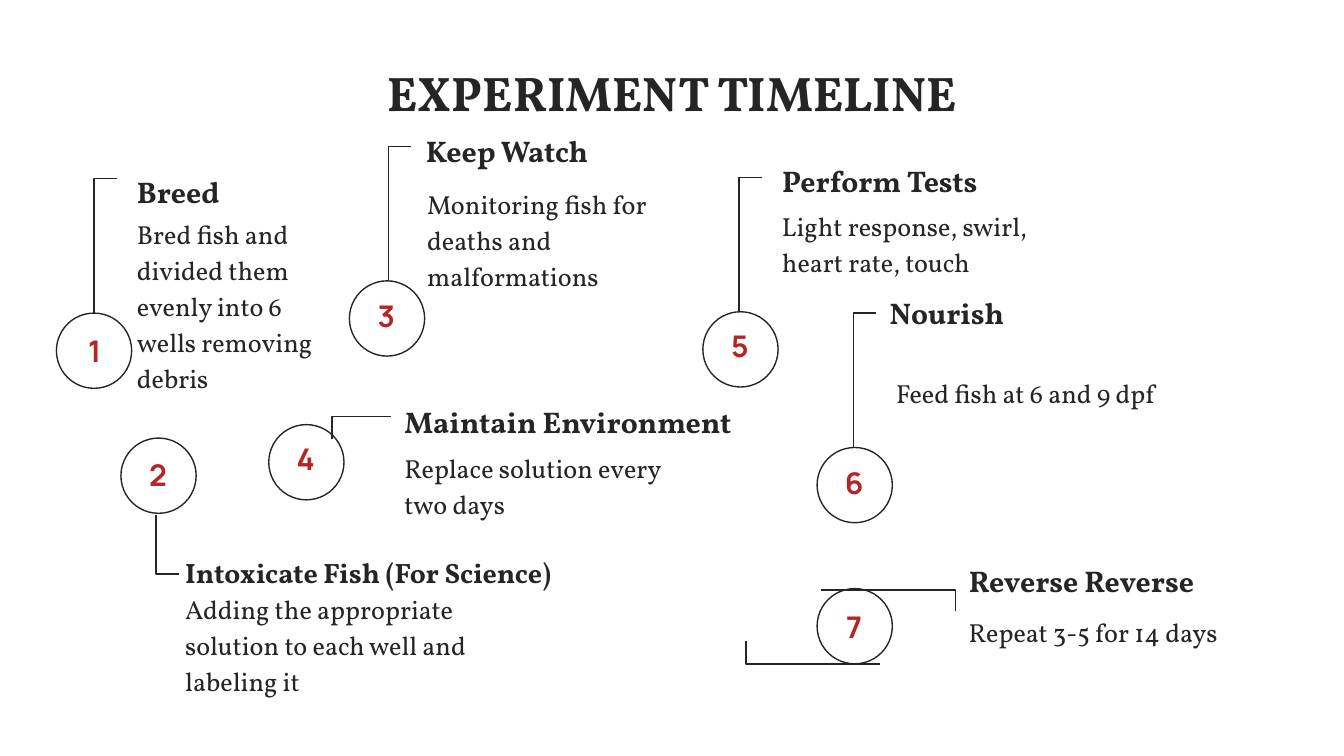
from dataclasses import dataclass

from pptx import Presentation
from pptx.dml.color import RGBColor
from pptx.enum.shapes import MSO_SHAPE
from pptx.enum.text import MSO_ANCHOR, PP_ALIGN
from pptx.util import Inches, Pt

OVAL = MSO_SHAPE.OVAL
TOP, MIDDLE, BOTTOM = MSO_ANCHOR.TOP, MSO_ANCHOR.MIDDLE, MSO_ANCHOR.BOTTOM
LEFT, CENTER = PP_ALIGN.LEFT, PP_ALIGN.CENTER

COLUMNS, ROWS = 100, 56.25
DISC = 5.6
NUMBER_WIDTH, LABEL_HEIGHT = 3.9, 4.2


@dataclass(frozen=True)
class Style:
    font: str
    size: float
    color: RGBColor
    bold: bool = True


class Theme:
    ink = RGBColor.from_string("252525")
    accent = RGBColor.from_string("B42526")
    paper = RGBColor.from_string("FFFFFF")
    line_width = 0.75
    title = Style("Vollkorn", 26, ink)
    heading = Style("Vollkorn", 16, ink)
    long_heading = Style("Vollkorn", 15, ink)
    body = Style("Vollkorn", 14, ink, False)
    number = Style("Manrope", 16, accent)


@dataclass(frozen=True)
class Step:
    heading: str
    body: str
    origin: tuple
    heading_box: tuple
    body_box: tuple
    hooks: tuple
    number_offset: tuple
    heading_style: Style = Theme.heading
    heading_spacing: float = 1.0


def hook_down(x):
    return ((x + 1.7, -10), (x, -10), (x, 0))


STEPS = (
    Step("Breed", "Bred fish and divided them evenly into 6 wells removing debris",
         (4.2, 23.3), (5, -12.1, 14.7), (5, -8.4, 16.8, 16.8),
         (hook_down(2.8),), (0.9, 0.7), heading_spacing=1.28),
    Step("Intoxicate Fish (For Science)",
         "Adding the appropriate solution to each well and labeling it",
         (9, 32.6), (3.8, 7.7, 31.2), (3.8, 10.2, 27.8, 11.4),
         (((4.3, 10.1), (2.6, 10.1), (2.6, 5.7)),), (0.8, 0.6), Theme.long_heading),
    Step("Keep Watch", "Monitoring fish for deaths and malformations",
         (26, 20.9), (4.7, -12, 17.8), (4.8, -8.2, 21.6, 10.9),
         (hook_down(2.9),), (0.8, 0.5)),
    Step("Maintain Environment", "Replace solution every two days",
         (20, 31.6), (9.1, -2.6, 28.1), (9.1, 0.7, 22, 7.9),
         (((4.7, 1.1), (4.7, -0.6), (9.1, -0.6)),), (0.8, 0.4)),
    Step("Perform Tests", "Light response, swirl, heart rate, touch",
         (52.3, 23.2), (4.9, -12.1, 17.8), (4.9, -8.9, 22.7, 5.6),
         (hook_down(2.7),), (0.8, 0.4)),
    Step("Nourish", "Feed fish at 6 and 9 dpf",
         (60.8, 33.3), (4.4, -12.4, 17.8), (4.9, -6.6, 25, 10.9),
         (hook_down(2.7),), (0.8, 0.5)),
    Step("Reverse Reverse", "Repeat 3-5 for 14 days",
         (60.8, 43.8), (10.3, -2.9, 20.1), (10.3, 0.7, 25, 10.9),
         (((-5.3, 3.9), (-5.3, 5.6), (4.7, 5.6)),
          ((10.3, 1.7), (10.3, 0.1), (0.3, 0.1))), (0.8, 0.7)),
)


def grid(cells):
    return Inches(cells * 10 / COLUMNS)


def add_text(page, box, text, style, align=LEFT, anchor=TOP, spacing=1.0):
    frame = page.shapes.add_textbox(*map(grid, box)).text_frame
    frame.word_wrap = True
    frame.vertical_anchor = anchor
    frame.margin_left = frame.margin_right = grid(1)
    frame.margin_top = frame.margin_bottom = grid(1)
    frame.text = text
    para = frame.paragraphs[0]
    para.alignment = align
    para.line_spacing = spacing
    font = para.runs[0].font
    font.name, font.size, font.bold = style.font, Pt(style.size), style.bold
    font.color.rgb = style.color


def outline(shape):
    shape.shadow.inherit = False
    shape.fill.background()
    shape.line.color.rgb = Theme.ink
    shape.line.width = Pt(Theme.line_width)


def add_hook(page, left, top, points):
    start, *rest = [(grid(left + x), grid(top + y)) for x, y in points]
    builder = page.shapes.build_freeform(*start)
    builder.add_line_segments(rest, close=False)
    outline(builder.convert_to_shape())


def add_step(page, number, step):
    left, top = step.origin
    x, y, width, height = step.body_box
    add_text(page, (left + x, top + y, width, height), step.body, Theme.body, spacing=1.15)
    x, y, width = step.heading_box
    add_text(page, (left + x, top + y, width, LABEL_HEIGHT), step.heading,
             step.heading_style, spacing=step.heading_spacing)
    outline(page.shapes.add_shape(OVAL, *map(grid, (left, top, DISC, DISC))))
    x, y = step.number_offset
    add_text(page, (left + x, top + y, NUMBER_WIDTH, LABEL_HEIGHT), str(number),
             Theme.number, CENTER, MIDDLE)
    for points in step.hooks:
        add_hook(page, left, top, points)


def main():
    deck = Presentation()
    deck.slide_width, deck.slide_height = grid(COLUMNS), grid(ROWS)
    page = deck.slides.add_slide(deck.slide_layouts[6])
    page.background.fill.solid()
    page.background.fill.fore_color.rgb = Theme.paper
    add_text(page, (23.9, 3, 52.3, 7), "EXPERIMENT TIMELINE", Theme.title, CENTER, BOTTOM)
    for number, step in enumerate(STEPS, 1):
        add_step(page, number, step)
    deck.save("out.pptx")


if __name__ == "__main__":
    main()
